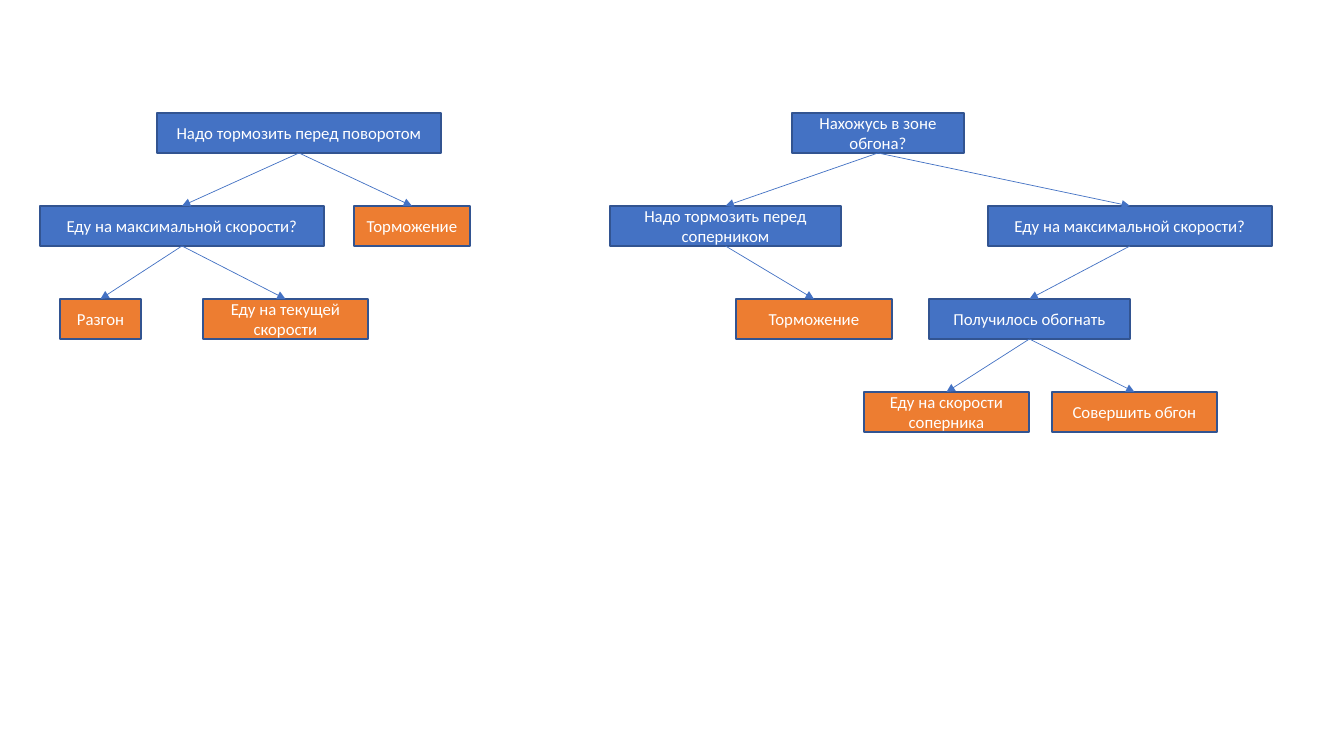
import pptx
import pptx.util
import pptx.dml.color
import pptx.enum.shapes
import pptx.enum.text
import pptx.oxml.ns
import lxml.etree

QUESTION, ACTION, BORDER, ARROW, WHITE = "4472C4", "ED7D31", "325491", "4472C4", "FFFFFF"

NODES = {
    "turn": ("Надо тормозить перед поворотом", QUESTION, 157, 0, 284),
    "turn_speed": ("Еду на максимальной скорости?", QUESTION, 40, 1, 284),
    "turn_brake": ("Торможение", ACTION, 354, 1, 116),
    "accelerate": ("Разгон", ACTION, 60, 2, 81),
    "keep_speed": ("Еду на текущей скорости", ACTION, 203, 2, 165),
    "zone": ("Нахожусь в зоне обгона?", QUESTION, 792, 0, 172),
    "rival": ("Надо тормозить перед соперником", QUESTION, 610, 1, 231),
    "zone_speed": ("Еду на максимальной скорости?", QUESTION, 988, 1, 284),
    "rival_brake": ("Торможение", ACTION, 736, 2, 156),
    "overtaken": ("Получилось обогнать", QUESTION, 929, 2, 201),
    "follow_rival": ("Еду на скорости соперника", ACTION, 864, 3, 165),
    "overtake": ("Совершить обгон", ACTION, 1052, 3, 165),
}
BRANCHES = {
    "turn": ["turn_speed", "turn_brake"],
    "turn_speed": ["accelerate", "keep_speed"],
    "zone": ["rival", "zone_speed"],
    "rival": ["rival_brake"],
    "zone_speed": ["overtaken"],
    "overtaken": ["follow_rival", "overtake"],
}
TOP, LEVEL_STEP, BOX_HEIGHT = 113, 93, 40
TOP_SITE, BOTTOM_SITE = 0, 2


def px(pixels):
    return pptx.util.Emu(round(pixels * 914400 / 100.8))


def color(value):
    return pptx.dml.color.RGBColor.from_string(value)


def add_node(page, label, fill, left, level, width):
    box = page.shapes.add_shape(
        pptx.enum.shapes.MSO_SHAPE.RECTANGLE,
        px(left), px(TOP + level * LEVEL_STEP), px(width), px(BOX_HEIGHT))
    box.shadow.inherit = False
    box.fill.solid()
    box.fill.fore_color.rgb = color(fill)
    box.line.color.rgb = color(BORDER)
    box.line.width = pptx.util.Pt(1)
    frame = box.text_frame
    frame.text = label
    frame.word_wrap = True
    frame.vertical_anchor = pptx.enum.text.MSO_ANCHOR.MIDDLE
    para = frame.paragraphs[0]
    para.alignment = pptx.enum.text.PP_ALIGN.CENTER
    font = para.runs[0].font
    font.name = "Calibri"
    font.size = pptx.util.Pt(12)
    font.color.rgb = color(WHITE)
    return box


def add_arrow(page, parent, child):
    arrow = page.shapes.add_connector(
        pptx.enum.shapes.MSO_CONNECTOR.STRAIGHT, 0, 0, 0, 0)
    arrow.begin_connect(parent, BOTTOM_SITE)
    arrow.end_connect(child, TOP_SITE)
    arrow.line.color.rgb = color(ARROW)
    arrow.line.width = pptx.util.Pt(0.5)
    qn = pptx.oxml.ns.qn
    properties = arrow.line._get_or_add_ln()
    lxml.etree.SubElement(properties, qn("a:tailEnd"), type="triangle")
    lxml.etree.SubElement(properties.getparent(), qn("a:effectLst"))


deck = pptx.Presentation()
deck.slide_width, deck.slide_height = px(1344), px(756)
page = deck.slides.add_slide(deck.slide_layouts[6])

boxes = {name: add_node(page, *node) for name, node in NODES.items()}
for parent, children in BRANCHES.items():
    for child in children:
        add_arrow(page, boxes[parent], boxes[child])

deck.save("out.pptx")
